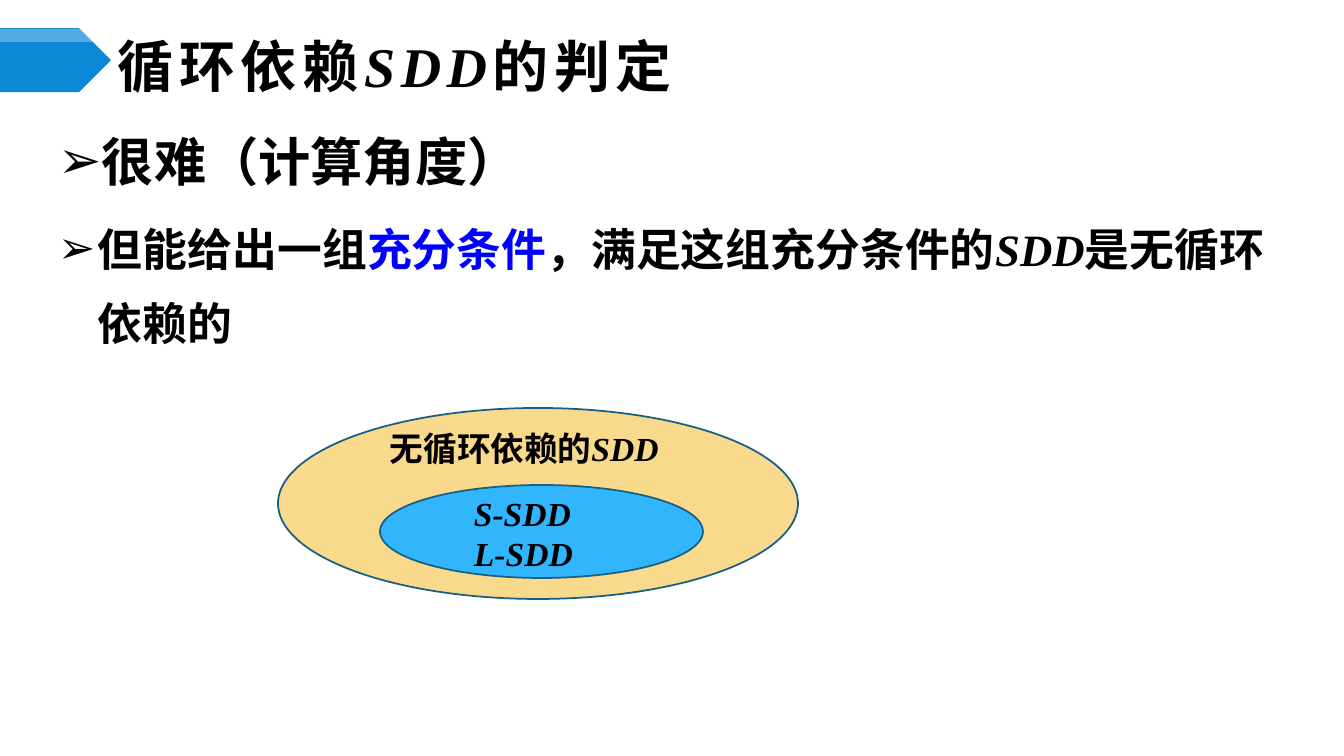
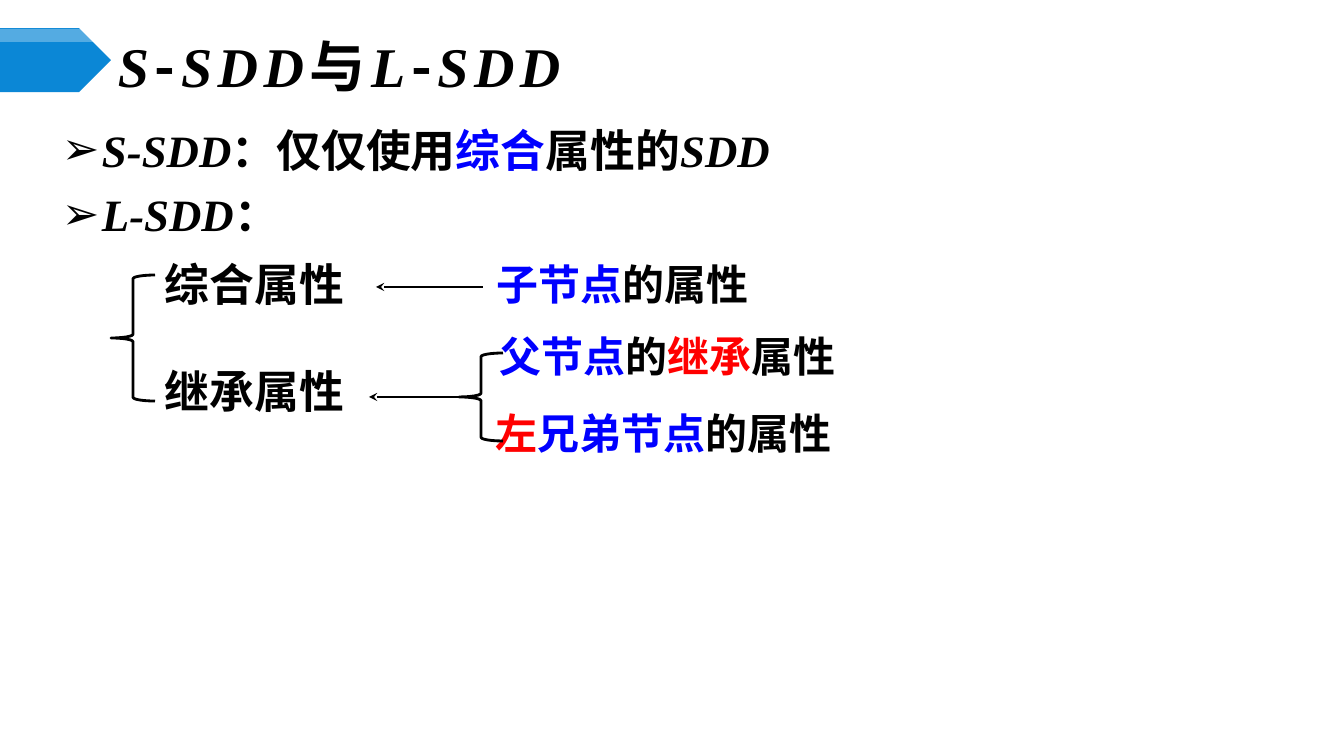
"""Build two slides on deciding whether an SDD is free of circular dependencies."""
from dataclasses import dataclass

from lxml.etree import SubElement
from pptx import Presentation
from pptx.dml.color import RGBColor
from pptx.enum.shapes import MSO_CONNECTOR, MSO_SHAPE
from pptx.enum.text import MSO_ANCHOR, MSO_AUTO_SIZE, PP_ALIGN
from pptx.oxml.ns import qn
from pptx.util import Emu, Pt


@dataclass(frozen=True)
class Theme:
    black: str = "000000"
    white: str = "FFFFFF"
    blue: str = "0000FF"
    red: str = "FF0000"
    band: str = "0B87D6"
    outline: str = "195F84"
    outer: str = "F9D98C"
    inner: str = "31B6FD"
    serif: str = "Times New Roman"
    sans: str = "Calibri"
    chinese: str = "Noto Sans CJK SC"
    title_size: float = 40
    lead_size: float = 37.3
    body_size: float = 32
    branch_size: float = 30
    label_size: float = 24


theme = Theme()


@dataclass(frozen=True)
class Span:
    text: str
    color: str = theme.black
    italic: bool = False
    font: str = theme.serif


def px(value):
    return Emu(round(value * 914400 / 100.8))


def place(shape, left, top, width, height):
    shape.left, shape.top = px(left), px(top)
    shape.width, shape.height = px(width), px(height)


def latin(text):
    return Span(text, italic=True)


def write_spans(para, spans, size, spacing=None):
    for span in spans:
        run = para.add_run()
        run.text = span.text
        font = run.font
        font.size, font.bold, font.italic = Pt(size), True, span.italic
        font.name = span.font
        font.color.rgb = RGBColor.from_string(span.color)
        properties = run.font._element
        SubElement(properties, qn("a:ea"), typeface=theme.chinese)
        if spacing:
            properties.set("spc", str(spacing * 100))


def format_placeholder(box, anchor):
    frame = box.text_frame
    frame.auto_size = MSO_AUTO_SIZE.NONE
    frame.word_wrap = True
    frame.vertical_anchor = anchor
    frame.margin_left = frame.margin_right = px(7)
    frame.margin_top = frame.margin_bottom = px(4)
    return frame


def add_page(deck, layout, title):
    page = deck.slides.add_slide(layout)
    place(page.shapes.title, 111, 39, 1165, 52)
    para = format_placeholder(page.shapes.title, MSO_ANCHOR.MIDDLE).paragraphs[0]
    para.alignment = PP_ALIGN.LEFT
    write_spans(para, title, theme.title_size, spacing=4)
    return page


def fill_body(page, bounds, items, line_height, margin, level=0):
    body = page.placeholders[1]
    place(body, *bounds)
    frame = format_placeholder(body, MSO_ANCHOR.TOP)
    for index, (size, spans) in enumerate(items):
        para = frame.add_paragraph() if index else frame.paragraphs[0]
        para.level = level
        para.alignment = PP_ALIGN.LEFT
        para.line_spacing = Pt(line_height)
        para.space_before = Pt(size * 0.2)
        properties = para._p.get_or_add_pPr()
        properties.set("marL", str(px(margin)))
        properties.set("indent", str(px(-40)))
        bullet_color = SubElement(properties, qn("a:buClr"))
        SubElement(bullet_color, qn("a:srgbClr"), val=theme.black)
        SubElement(properties, qn("a:buChar"), char="➢")
        write_spans(para, spans, size)


def add_filled(shapes, kind, bounds, color, outline=None):
    shape = shapes.add_shape(kind, *map(px, bounds))
    shape.shadow.inherit = False
    shape.fill.solid()
    shape.fill.fore_color.rgb = RGBColor.from_string(color)
    if outline:
        shape.line.color.rgb = RGBColor.from_string(outline)
        shape.line.width = Pt(1.25)
    else:
        shape.line.fill.background()
    return shape


def add_label(shapes, bounds, lines, size, line_height=None):
    box = shapes.add_textbox(*map(px, bounds))
    frame = box.text_frame
    frame.word_wrap = True
    frame.vertical_anchor = MSO_ANCHOR.MIDDLE
    for index, spans in enumerate(lines):
        para = frame.add_paragraph() if index else frame.paragraphs[0]
        if line_height:
            para.line_spacing = Pt(line_height)
        write_spans(para, spans, size)


def add_brace(shapes, bounds):
    brace = shapes.add_shape(MSO_SHAPE.LEFT_BRACE, *map(px, bounds))
    brace.shadow.inherit = False
    brace.fill.background()
    brace.line.color.rgb = RGBColor.from_string(theme.black)
    brace.line.width = Pt(2)
    return brace


def add_arrow(shapes, start, end, y):
    arrow = shapes.add_connector(MSO_CONNECTOR.STRAIGHT, px(start), px(y), px(end), px(y))
    arrow.line.color.rgb = RGBColor.from_string(theme.black)
    arrow.line.width = Pt(2)
    SubElement(arrow.line._get_or_add_ln(), qn("a:tailEnd"), type="stealth")
    SubElement(arrow.element.spPr, qn("a:effectLst"))
    return arrow


def add_layout_band(layout, page):
    band = page.shapes.add_group_shape()
    add_filled(band.shapes, MSO_SHAPE.PENTAGON, (0, 28, 111, 64), theme.band)
    gloss = add_filled(band.shapes, MSO_SHAPE.PENTAGON, (0, 29, 111, 13), theme.white)
    color = gloss.element.spPr.find(qn("a:solidFill")).find(qn("a:srgbClr"))
    SubElement(color, qn("a:alpha"), val="30000")
    layout.element.cSld.spTree.insert(2, band.element)


def add_sets_diagram(page):
    shapes = page.shapes.add_group_shape().shapes
    add_filled(shapes, MSO_SHAPE.OVAL, (278, 408, 520, 191), theme.outer, theme.outline)
    caption = [Span("无循环依赖的", font=theme.chinese), latin("SDD")]
    add_label(shapes, (380, 423, 347, 50), [caption], theme.label_size)
    add_filled(shapes, MSO_SHAPE.OVAL, (380, 485, 323, 93), theme.inner, theme.outline)
    names = [[latin("S-SDD")], [latin("L-SDD")]]
    add_label(shapes, (464, 487, 120, 92), names, theme.label_size, line_height=29)


def add_attribute_tree(page):
    shapes = page.shapes
    add_brace(shapes, (111, 275, 44, 126))
    for top, text in ((253, "综合属性"), (360, "继承属性")):
        label = [Span(text, font=theme.sans)]
        add_label(shapes, (155, top, 220, 62), [label], theme.body_size)
    branches = (
        (487, 253, [Span("子节点", theme.blue), Span("的属性")]),
        (490, 325, [Span("父节点", theme.blue), Span("的"),
                    Span("继承", theme.red), Span("属性")]),
        (486, 402, [Span("左", theme.red), Span("兄弟节点", theme.blue), Span("的属性")]),
    )
    for left, top, spans in branches:
        add_label(shapes, (left, top, 360, 62), [spans], theme.branch_size)
    add_arrow(shapes, 483, 376, 287)
    brace = add_brace(shapes, (459, 353, 44, 88))
    add_arrow(shapes, 459, 369, 397).begin_connect(brace, 1)


def main():
    deck = Presentation()
    deck.slide_width, deck.slide_height = px(1344), px(756)
    layout = deck.slide_layouts[1]

    page = add_page(deck, layout, [
        Span("循环依赖"), latin("SDD"), Span("的判定", font=theme.chinese)])
    add_layout_band(layout, page)
    fill_body(page, (51, 113, 1242, 246), [
        (theme.lead_size, [Span("很难（计算角度）")]),
        (theme.body_size, [Span("但能给出一组"), Span("充分条件", theme.blue),
                           Span("，满足这组充分条件的"), latin("SDD"),
                           Span("是无循环依赖的")]),
    ], line_height=53.3, margin=40)
    add_sets_diagram(page)

    hyphen = Span("-", font=theme.chinese)
    page = add_page(deck, layout, [
        latin("S"), hyphen, latin("SDD"), Span("与", font=theme.chinese),
        latin("L"), hyphen, latin("SDD")])
    fill_body(page, (10, 116, 1281, 474), [
        (theme.body_size, [latin("S-SDD"), Span("：仅仅使用"), Span("综合", theme.blue),
                           Span("属性的"), latin("SDD")]),
        (theme.body_size, [latin("L-SDD"), Span("：")]),
    ], line_height=40, margin=85, level=1)
    add_attribute_tree(page)

    deck.save("out.pptx")


if __name__ == "__main__":
    main()
